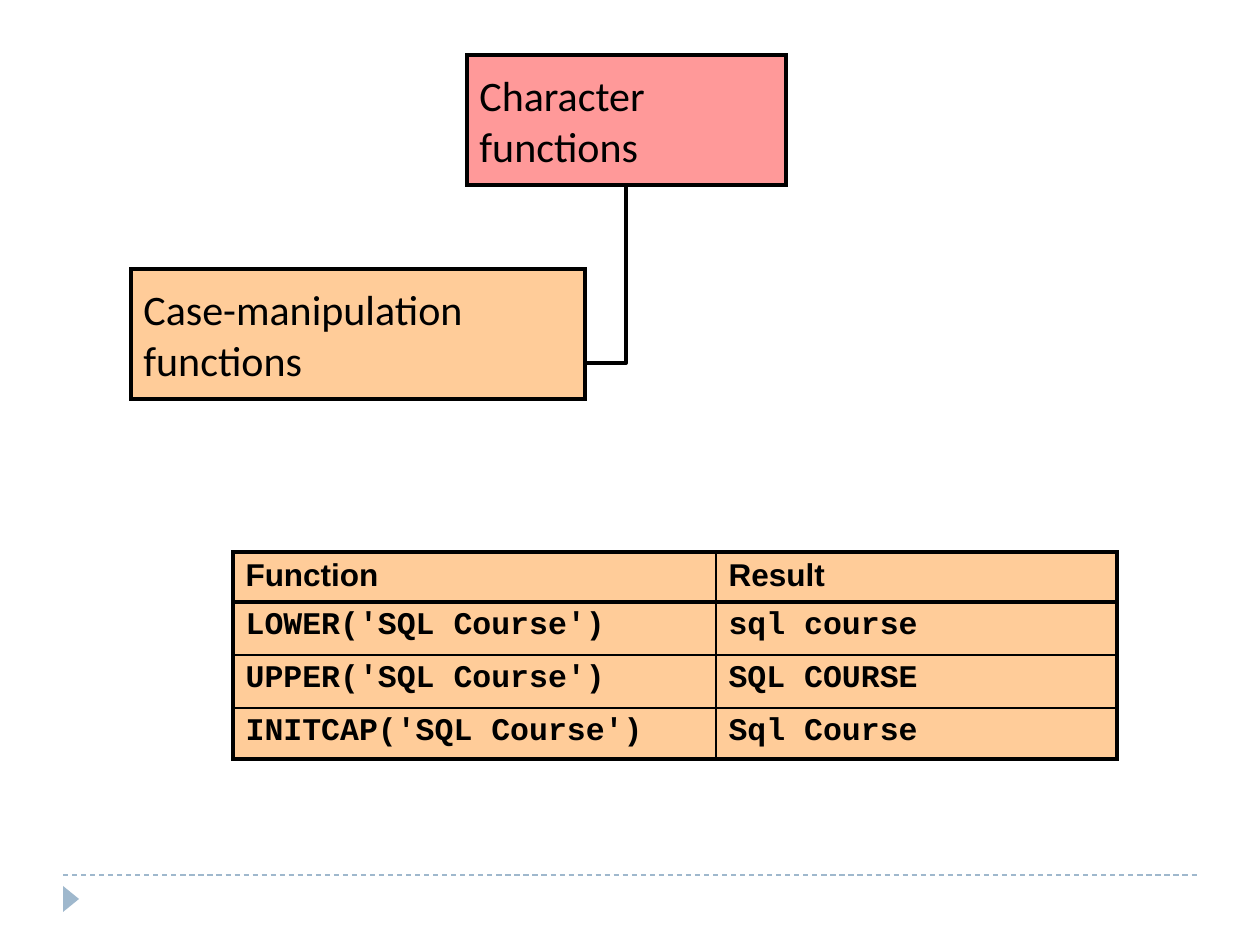
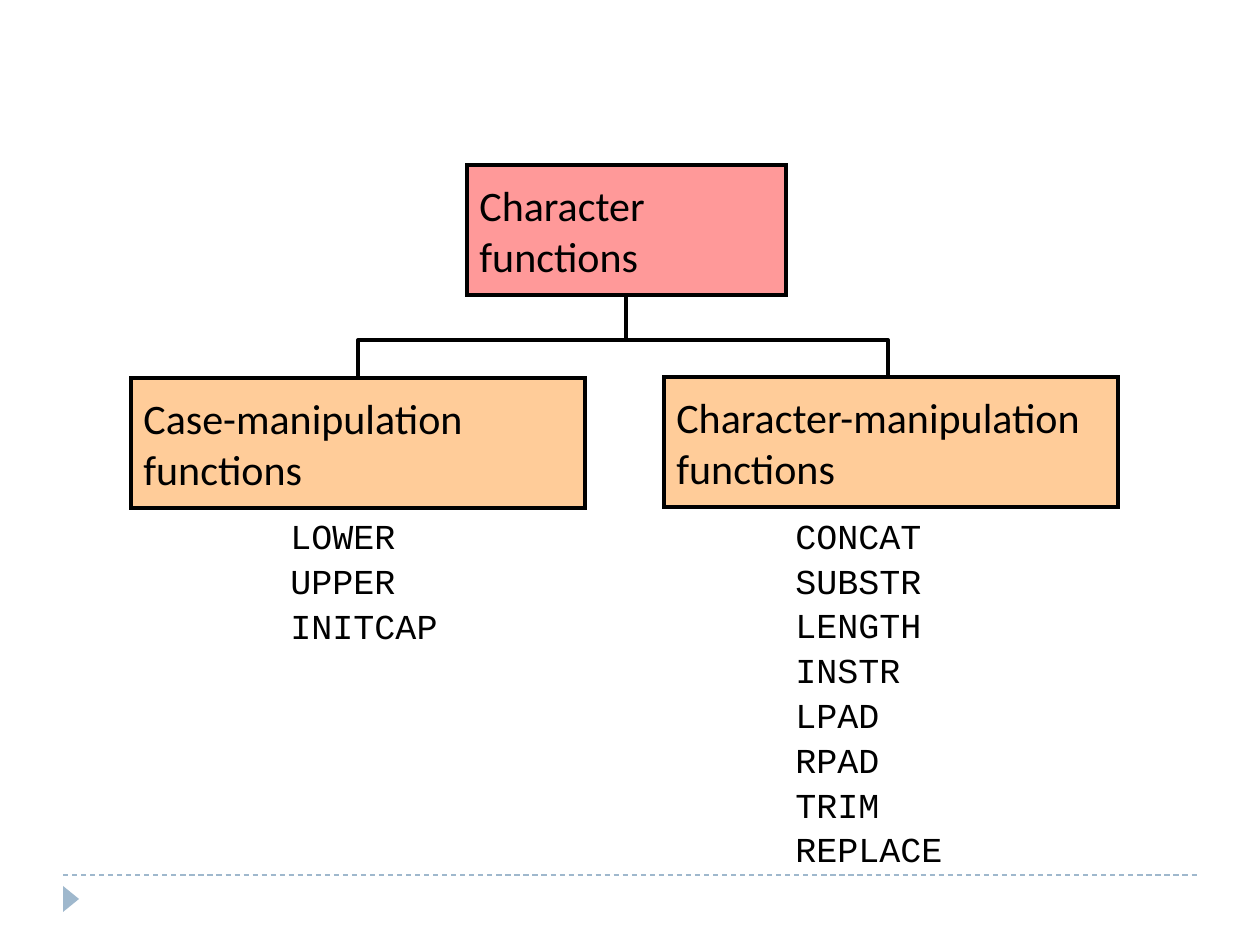
import dataclasses

import pptx
import pptx.dml.color
import pptx.enum.dml
import pptx.enum.shapes
import pptx.enum.text
import pptx.oxml
import pptx.oxml.ns
import pptx.util

PX_PER_INCH = 126
SHAPES = pptx.enum.shapes.MSO_SHAPE


@dataclasses.dataclass(frozen=True)
class Theme:
    """Colours, fonts and sizes shared by the slides."""

    ink: str = "000000"
    root: str = "FF9999"
    branch: str = "FFCC99"
    footer: str = "9FB8CD"
    box_font: tuple = ("Calibri", 24)
    list_font: tuple = ("Courier New", 20)
    head_font: tuple = ("Arial", 18)
    code_font: tuple = ("Courier New", 18)
    list_gap: int = 4
    thick: float = 2.25
    thin: float = 1
    hairline: float = 0.75


@dataclasses.dataclass(frozen=True)
class Box:
    """A rectangle in px."""

    left: int
    top: int
    width: int
    height: int

    @property
    def right(self):
        """Return the right edge."""
        return self.left + self.width

    @property
    def bottom(self):
        """Return the bottom edge."""
        return self.top + self.height

    @property
    def middle(self):
        """Return the horizontal centre."""
        return self.left + self.width // 2

    def emu(self):
        """Return left, top, width and height in EMU."""
        return [px(n) for n in (self.left, self.top, self.width, self.height)]


THEME = Theme()
CANVAS = Box(0, 0, 1260, 945)


def px(length):
    """Turn px into EMU."""
    return pptx.util.Emu(round(length * 914400 / PX_PER_INCH))


def rgb(color):
    """Turn a hex string into a colour."""
    return pptx.dml.color.RGBColor.from_string(color)


def style_line(line, color=THEME.ink, width=THEME.thick):
    """Give a line its colour and width in points."""
    line.color.rgb = rgb(color)
    line.width = pptx.util.Pt(width)


def write(frame, lines, font, bold=False):
    """Write one left-aligned paragraph per line and return the paragraphs."""
    frame.text = "\n".join(lines)
    for paragraph in frame.paragraphs:
        paragraph.alignment = pptx.enum.text.PP_ALIGN.LEFT
        paragraph.font.name = font[0]
        paragraph.font.size = pptx.util.Pt(font[1])
        paragraph.font.bold = bold
        paragraph.font.color.rgb = rgb(THEME.ink)
    return frame.paragraphs


def add_straight(slide, start, end, color=THEME.ink, width=THEME.thick):
    """Draw a straight line without a shadow."""
    connector = slide.shapes.add_connector(
        pptx.enum.shapes.MSO_CONNECTOR.STRAIGHT, *map(px, start + end))
    style_line(connector.line, color, width)
    properties = connector._element.spPr
    properties.append(properties.makeelement(pptx.oxml.ns.qn("a:effectLst"), {}))
    return connector


def add_bent_line(slide, points):
    """Draw an open line through the points."""
    start, *rest = [(px(x), px(y)) for x, y in points]
    builder = slide.shapes.build_freeform(*start)
    builder.add_line_segments(rest, close=False)
    shape = builder.convert_to_shape()
    shape.shadow.inherit = False
    shape.fill.background()
    style_line(shape.line)


def add_node(slide, box, lines, fill):
    """Draw a bordered box of the function tree with sharp corners."""
    shape = slide.shapes.add_shape(SHAPES.RECTANGLE, *box.emu())
    shape.shadow.inherit = False
    shape.fill.solid()
    shape.fill.fore_color.rgb = rgb(fill)
    style_line(shape.line)
    outline = shape._element.spPr.find(pptx.oxml.ns.qn("a:ln"))
    outline.append(outline.makeelement(pptx.oxml.ns.qn("a:miter"), {"lim": "800000"}))
    frame = shape.text_frame
    frame.word_wrap = True
    frame.vertical_anchor = pptx.enum.text.MSO_ANCHOR.MIDDLE
    write(frame, lines, THEME.box_font)


def add_function_list(slide, box, names):
    """List function names one below the other."""
    frame = slide.shapes.add_textbox(*box.emu()).text_frame
    frame.word_wrap = True
    for paragraph in write(frame, names, THEME.list_font):
        paragraph.line_spacing = 0.9
        paragraph.space_before = pptx.util.Pt(THEME.list_gap)


def add_tree(slide, box, both_branches):
    """Draw the root with one side branch or with two branches below it."""
    root = Box(box.left + 336, box.top, 319, 130)
    case = Box(box.left, box.bottom - 130, 454, 130)
    character = Box(box.right - 454, case.top - 1, 454, 130)
    if both_branches:
        joint = root.bottom + 45
        path = [(case.middle, case.top + 30), (case.middle, joint),
                (character.middle - 3, joint),
                (character.middle - 3, character.top + 30)]
    else:
        joint = case.top
        elbow = case.bottom - 36
        path = [(case.right, joint + 5), (case.right, elbow),
                (root.middle, elbow), (root.middle, joint)]
    add_straight(slide, (root.middle, joint), (root.middle, root.bottom))
    add_bent_line(slide, path)
    add_node(slide, root, ["Character", "functions"], THEME.root)
    add_node(slide, case, ["Case-manipulation", "functions"], THEME.branch)
    if both_branches:
        add_node(slide, character, ["Character-manipulation", "functions"], THEME.branch)


def set_borders(cell, widths):
    """Set left, right, top and bottom border widths of a cell in points."""
    properties = cell._tc.get_or_add_tcPr()
    for index, (side, width) in enumerate(zip("LRTB", widths)):
        properties.insert(index, pptx.oxml.parse_xml(
            f'<a:ln{side} {pptx.oxml.ns.nsdecls("a")} w="{pptx.util.Pt(width)}">'
            f'<a:solidFill><a:srgbClr val="{THEME.ink}"/></a:solidFill></a:ln{side}>'))


def add_result_table(slide, box):
    """Show what each case function returns."""
    rows = [
        ("Function", "Result"),
        ("LOWER('SQL Course')", "sql course"),
        ("UPPER('SQL Course')", "SQL COURSE"),
        ("INITCAP('SQL Course')", "Sql Course"),
    ]
    table = slide.shapes.add_table(len(rows), 2, *box.emu()).table
    table.first_row = table.horz_banding = False
    for column, width in zip(table.columns, (483, box.width - 483)):
        column.width = px(width)
    for row, height in zip(table.rows, (50, 53, 53, 51)):
        row.height = px(height)
    row_edges = (THEME.thick, THEME.thick, THEME.thin, THEME.thin, THEME.thick)
    column_edges = (THEME.thick, THEME.thin, THEME.thick)
    for i, texts in enumerate(rows):
        for j, text in enumerate(texts):
            cell = table.cell(i, j)
            cell.fill.solid()
            cell.fill.fore_color.rgb = rgb(THEME.branch)
            set_borders(cell, column_edges[j:j + 2] + row_edges[i:i + 2])
            write(cell.text_frame, [text], THEME.code_font if i else THEME.head_font, True)


def add_footer(slide, box):
    """Draw the dashed rule and the arrowhead at the foot of a slide."""
    rule = add_straight(slide, (box.left, box.top), (box.right, box.top),
                        THEME.footer, THEME.hairline)
    rule.line.dash_style = pptx.enum.dml.MSO_LINE.DASH
    marker_box = Box(box.left - 5, box.top + 16, 26, 16)
    marker = slide.shapes.add_shape(SHAPES.ISOSCELES_TRIANGLE, *marker_box.emu())
    marker.rotation = 90
    marker.shadow.inherit = False
    marker.fill.solid()
    marker.fill.fore_color.rgb = rgb(THEME.footer)
    marker.line.fill.background()


def add_slide(presentation):
    """Add a blank slide with the shared footer."""
    slide = presentation.slides.add_slide(presentation.slide_layouts[6])
    add_footer(slide, Box(63, 875, CANVAS.width - 126, 40))
    return slide


def build_case_slide(presentation):
    """Build the slide on case-manipulation functions."""
    slide = add_slide(presentation)
    add_tree(slide, Box(131, 55, 987, 344), both_branches=False)
    add_result_table(slide, Box(233, 552, 884, 207))


def build_overview_slide(presentation):
    """Build the slide with both kinds of character functions."""
    slide = add_slide(presentation)
    add_function_list(slide, Box(278, 513, 180, 145), ["LOWER", "UPPER", "INITCAP"])
    add_function_list(slide, Box(783, 513, 237, 378), [
        "CONCAT", "SUBSTR", "LENGTH", "INSTR", "LPAD", "RPAD", "TRIM", "REPLACE"])
    add_tree(slide, Box(131, 165, 987, 343), both_branches=True)


def main():
    """Build and save the presentation."""
    presentation = pptx.Presentation()
    presentation.slide_width = px(CANVAS.width)
    presentation.slide_height = px(CANVAS.height)
    build_case_slide(presentation)
    build_overview_slide(presentation)
    presentation.save("out.pptx")


if __name__ == "__main__":
    main()
